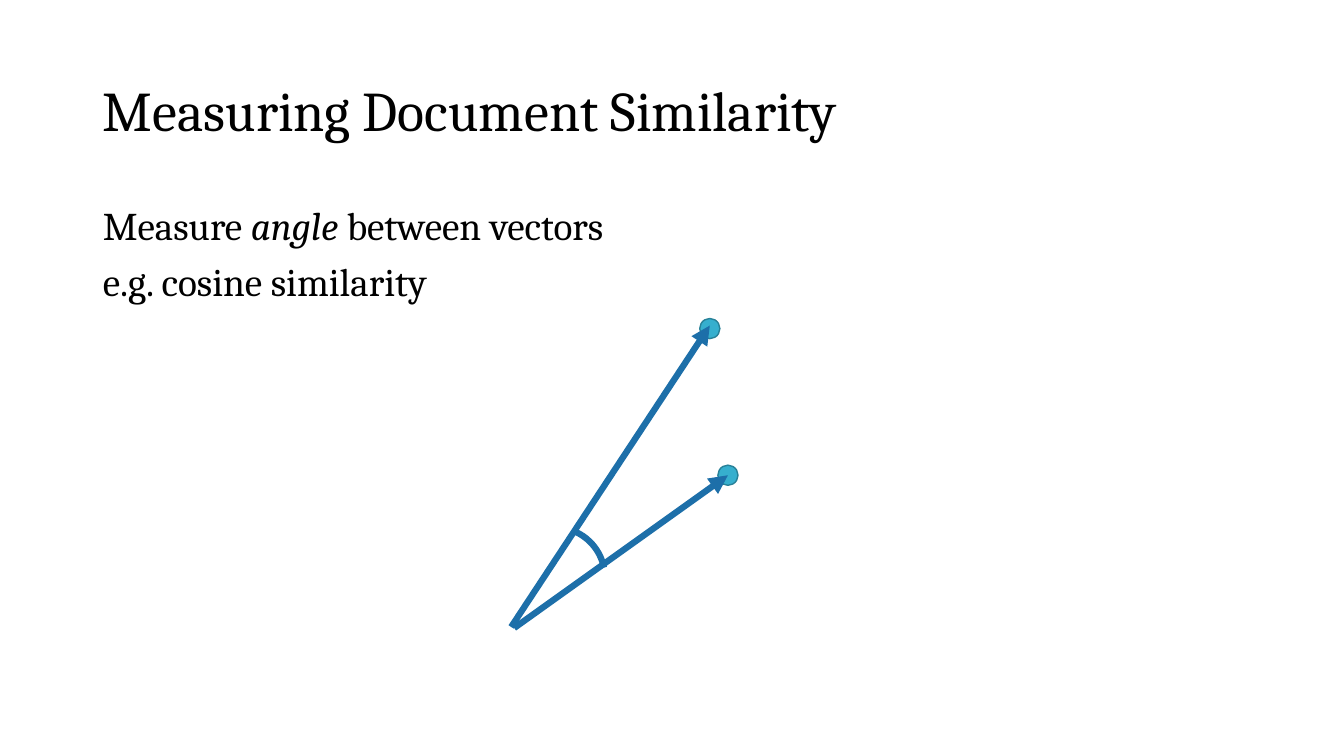
from lxml import etree
from pptx import Presentation
from pptx.dml.color import RGBColor
from pptx.enum.shapes import MSO_CONNECTOR, MSO_SHAPE
from pptx.enum.text import MSO_ANCHOR, PP_ALIGN
from pptx.oxml.ns import qn
from pptx.util import Inches, Pt

STRAIGHT = MSO_CONNECTOR.STRAIGHT
ELLIPSE, ARC = MSO_SHAPE.OVAL, MSO_SHAPE.ARC
MIDDLE, TOP, LEFT = MSO_ANCHOR.MIDDLE, MSO_ANCHOR.TOP, PP_ALIGN.LEFT

BLACK = RGBColor(0x00, 0x00, 0x00)
DOT_FILL = RGBColor(0x36, 0xAF, 0xCE)
DOT_EDGE = RGBColor(0x28, 0x81, 0x98)
VECTOR_BLUE = RGBColor(0x1D, 0x6F, 0xA9)
FONT = "Cambria"
DOT_SIZE = 0.2
ARC_SIZE = 1.0
TITLE_BOX = (0.92, 0.4, 11.5, 1.45)
BODY_BOX = (0.92, 2, 11.5, 4.76)
DIAGRAM_BOX = (5, 3.16, 2.32, 3.07)


def add_span(para, text, size, italic=False):
    """Append one formatted span of text to a paragraph."""
    span = para.add_run()
    span.text = text
    span.font.name = FONT
    span.font.size = Pt(size)
    span.font.italic = italic
    span.font.color.rgb = BLACK


def fill_placeholder(holder, box, paragraphs, size, anchor, space_before=0):
    """Place a placeholder and write paragraphs of (text, italic) spans."""
    holder.left, holder.top, holder.width, holder.height = map(Inches, box)
    frame = holder.text_frame
    frame.word_wrap = True
    frame.vertical_anchor = anchor
    for index, spans in enumerate(paragraphs):
        para = frame.add_paragraph() if index else frame.paragraphs[0]
        para.alignment = LEFT
        para.line_spacing = 0.9
        para.space_before = Pt(space_before)
        properties = para._p.get_or_add_pPr()
        properties.set("marL", "0")
        properties.set("indent", "0")
        etree.SubElement(properties, qn("a:buNone"))
        for text, italic in spans:
            add_span(para, text, size, italic)


def style_line(line, color, width):
    """Give a line its colour and its width in points."""
    line.color.rgb = color
    line.width = Pt(width)


def add_dot(page, x, y):
    """Draw a document dot centred on a point."""
    corner = (x - DOT_SIZE / 2, y - DOT_SIZE / 2)
    dot = page.shapes.add_shape(
        ELLIPSE, *map(Inches, (*corner, DOT_SIZE, DOT_SIZE)))
    dot.shadow.inherit = False
    dot.fill.solid()
    dot.fill.fore_color.rgb = DOT_FILL
    style_line(dot.line, DOT_EDGE, 1)


def add_vector(page, start, end):
    """Draw a thick arrow between two points."""
    vector = page.shapes.add_connector(STRAIGHT, *map(Inches, (*start, *end)))
    style_line(vector.line, VECTOR_BLUE, 4.5)
    etree.SubElement(vector.line._get_or_add_ln(), qn("a:tailEnd"), type="triangle")
    etree.SubElement(vector._element.spPr, qn("a:effectLst"))


def add_angle(page, left, top):
    """Draw the arc that marks the angle between the vectors."""
    angle = page.shapes.add_shape(
        ARC, *map(Inches, (left, top, ARC_SIZE, ARC_SIZE)))
    angle.shadow.inherit = False
    angle.rotation = 14.5
    angle.adjustments[0] = 167.96
    angle.adjustments[1] = 200.44
    angle.fill.background()
    style_line(angle.line, VECTOR_BLUE, 4.5)


def draw_vector_diagram(page, box):
    """Draw two document vectors and their angle inside a box."""
    left, top, width, height = box
    right, bottom = left + width, top + height
    upper = (right - 0.28, top + 0.1)
    lower = (right - DOT_SIZE / 2, top + height / 2 + 0.02)
    for center in (upper, lower):
        add_dot(page, *center)
    add_vector(page, (left + 0.1, bottom), lower)
    add_vector(page, (left + 0.07, bottom - 0.01), (upper[0], upper[1] - 0.03))
    add_angle(page, left, bottom - ARC_SIZE)


def build_slide(deck):
    """Add the slide on measuring document similarity."""
    page = deck.slides.add_slide(deck.slide_layouts[1])
    title = [[("Measuring Document Similarity", False)]]
    body = [
        [("Measure ", False), ("angle", True), (" between vectors", False)],
        [("e.g. cosine similarity", False)],
    ]
    fill_placeholder(page.shapes.title, TITLE_BOX, title, 40, MIDDLE)
    fill_placeholder(page.placeholders[1], BODY_BOX, body, 28, TOP, space_before=10)
    draw_vector_diagram(page, DIAGRAM_BOX)


def main():
    """Build and save the deck."""
    deck = Presentation()
    deck.slide_width, deck.slide_height = Inches(13.33), Inches(7.5)
    build_slide(deck)
    deck.save("out.pptx")


if __name__ == "__main__":
    main()
